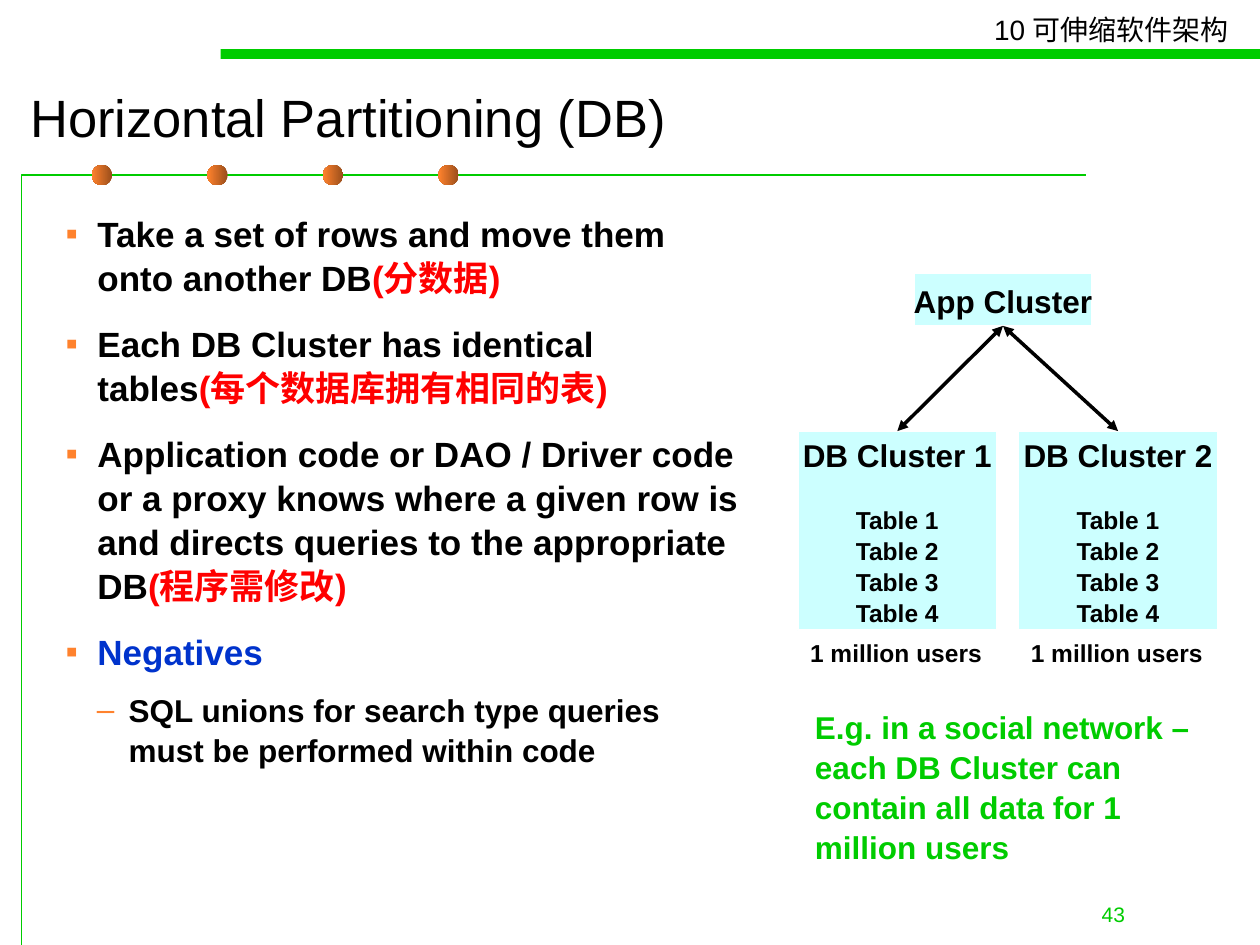
from dataclasses import dataclass

import pptx
import pptx.dml.color
import pptx.enum.shapes
import pptx.enum.text
import pptx.oxml
import pptx.oxml.ns
import pptx.util
from lxml import etree

Cm = pptx.util.Cm
Pt = pptx.util.Pt
Align = pptx.enum.text.PP_ALIGN
Anchor = pptx.enum.text.MSO_ANCHOR
Preset = pptx.enum.shapes.MSO_SHAPE


@dataclass(frozen=True)
class Theme:
    font: str = "Arial"
    text: str = "000000"
    green: str = "00CC00"
    red: str = "FF0000"
    blue: str = "0033CC"
    orange: str = "FF822D"
    brown: str = "9A4E1B"
    node: str = "CCFFFF"
    white: str = "FFFFFF"
    title_size: int = 30
    body_size: int = 20
    sub_size: int = 18
    header_size: int = 16
    label_size: int = 14
    number_size: int = 12
    line_spacing: float = 1.05


@dataclass(frozen=True)
class Box:
    """A region, in centimetres."""
    left: float
    top: float
    width: float
    height: float

    def inner(self, left, top, width, height):
        return Box(self.left + left, self.top + top, width, height)

    def lengths(self):
        return [Cm(value) for value in (self.left, self.top, self.width, self.height)]


THEME = Theme()


def rgb(color):
    return pptx.dml.color.RGBColor.from_string(color)


def add_element(parent, tag, **attributes):
    return etree.SubElement(parent, pptx.oxml.ns.qn(tag), attributes)


def add_text(frame, runs, size, color=THEME.text, bold=False, align=Align.LEFT,
             before=0, after=0, margin=0, indent=0, level=0, bullet=None):
    """Add a paragraph; runs is a string or a list of (string, colour)."""
    is_first = not frame.paragraphs[0].runs
    paragraph = frame.paragraphs[0] if is_first else frame.add_paragraph()
    paragraph.level = level
    properties = paragraph._p.get_or_add_pPr()
    properties.set("marL", str(Cm(margin)))
    properties.set("indent", str(Cm(indent)))
    if bullet:
        bullet_color = add_element(properties, "a:buClr")
        add_element(bullet_color, "a:srgbClr", val=THEME.orange)
        add_element(properties, "a:buFont", typeface=THEME.font)
        add_element(properties, "a:buChar", char=bullet)
    else:
        add_element(properties, "a:buNone")
    paragraph.alignment = align
    paragraph.line_spacing = THEME.line_spacing
    paragraph.space_before = Pt(0 if is_first else before)
    paragraph.space_after = Pt(after)
    for text, run_color in [(runs, color)] if isinstance(runs, str) else runs:
        run = paragraph.add_run()
        run.text = text
        run.font.name = THEME.font
        run.font.size = Pt(size)
        run.font.bold = bold
        run.font.color.rgb = rgb(run_color)


def set_frame(frame, wrap=True, anchor=Anchor.TOP):
    frame.auto_size = pptx.enum.text.MSO_AUTO_SIZE.NONE
    frame.word_wrap = wrap
    frame.vertical_anchor = anchor
    return frame


def add_text_box(slide, box, text, size, wrap=True, anchor=Anchor.TOP, **text_format):
    shape = slide.shapes.add_textbox(*box.lengths())
    add_text(set_frame(shape.text_frame, wrap, anchor), text, size, **text_format)


def add_plain_shape(slide, preset, box, color):
    shape = slide.shapes.add_shape(preset, *box.lengths())
    shape.shadow.inherit = False
    shape.fill.solid()
    shape.fill.fore_color.rgb = rgb(color)
    shape.line.fill.background()
    return shape


def place(placeholder, box):
    placeholder.left, placeholder.top, placeholder.width, placeholder.height = box.lengths()


def add_header(slide, box):
    add_plain_shape(slide, Preset.RECTANGLE, box.inner(0, 0.99, box.width, 0.2), THEME.green)
    add_text_box(slide, box.inner(15.34, 0.1, 5.36, 0.94), "10 可伸缩软件架构",
                 THEME.header_size, wrap=False)


def add_frame_line(slide, box):
    builder = slide.shapes.build_freeform(Cm(box.left), Cm(box.top + box.height))
    builder.add_line_segments([(Cm(box.left), Cm(box.top)),
                               (Cm(box.left + box.width), Cm(box.top))], close=False)
    outline = builder.convert_to_shape()
    outline.shadow.inherit = False
    outline.fill.background()
    outline.line.color.rgb = rgb(THEME.green)
    outline.line.width = Pt(0.75)

    diameter = 0.41
    for index in range(4):
        dot = add_plain_shape(slide, Preset.OVAL,
                              box.inner(1.42 + 2.33 * index, -diameter / 2, diameter, diameter),
                              THEME.orange)
        dot.fill.gradient()
        dot.fill.gradient_angle = 180
        for stop, color in zip(dot.fill.gradient_stops, (THEME.brown, THEME.orange)):
            stop.color.rgb = rgb(color)


def fill_title(slide, box):
    title = slide.shapes.title
    place(title, box)
    frame = set_frame(title.text_frame, anchor=Anchor.MIDDLE)
    frame.margin_left, frame.margin_right = Cm(0.15), Cm(0.36)
    add_text(frame, "Horizontal Partitioning (DB)", THEME.title_size, margin=0.1)


def fill_body(slide, box):
    body = slide.placeholders[1]
    place(body, box)
    frame = set_frame(body.text_frame)
    points = [
        [("Take a set of rows and move them onto another DB", THEME.text),
         ("(分数据)", THEME.red)],
        [("Each DB Cluster has identical tables", THEME.text),
         ("(每个数据库拥有相同的表)", THEME.red)],
        [("Application code or DAO / Driver code or a proxy knows where a given row is "
          "and directs queries to the appropriate DB", THEME.text),
         ("(程序需修改)", THEME.red)],
        [("Negatives", THEME.blue)],
    ]
    for runs in points:
        add_text(frame, runs, THEME.body_size, bold=True, before=8.8, after=3.7,
                 margin=0.64, indent=-0.64, bullet="▪")
    add_text(frame, "SQL unions for search type queries must be performed within code",
             THEME.sub_size, bold=True, before=5.6, after=3.4,
             margin=1.27, indent=-0.64, level=1, bullet="–")


def add_node(slide, box, heading, items=()):
    node = add_plain_shape(slide, Preset.RECTANGLE, box, THEME.node)
    node.line.color.rgb = rgb(THEME.white)
    node.line.width = Pt(1.25)
    frame = set_frame(node.text_frame, wrap=False, anchor=Anchor.MIDDLE)
    add_text(frame, heading, THEME.sub_size, bold=True, align=Align.CENTER)
    for index, item in enumerate(items):
        add_text(frame, item, THEME.label_size, bold=True, align=Align.CENTER,
                 before=0 if index else 16.8)
    return node


def add_double_arrow(slide, upper, lower):
    """Join the bottom of one node to the top of another."""
    arrow = slide.shapes.add_connector(pptx.enum.shapes.MSO_CONNECTOR.STRAIGHT, 0, 0, 0, 0)
    arrow.begin_connect(upper, 2)
    arrow.end_connect(lower, 0)
    arrow.line.color.rgb = rgb(THEME.text)
    arrow.line.width = Pt(2)
    line = arrow.line._get_or_add_ln()
    for end in ("a:headEnd", "a:tailEnd"):
        add_element(line, end, type="triangle")
    add_element(arrow._element.spPr, "a:effectLst")


def add_cluster_diagram(slide, box):
    side = 4.02
    application = add_node(slide, box.inner(2.34, 0, 3.6, 1.06), "App Cluster")
    tables = [f"Table {number}" for number in range(1, 5)]
    for number, left in enumerate((0, box.width - side), start=1):
        database = add_node(slide, box.inner(left, 3.18, side, side),
                            f"DB Cluster {number}", tables)
        add_text_box(slide, box.inner(left, 3.18 + side, side, 0.86), "1 million users",
                     THEME.label_size, bold=True)
        add_double_arrow(slide, application, database)
    add_text_box(slide, box.inner(-1.17, 8.61, 9.83, 3.3),
                 "E.g. in a social network – each DB Cluster can contain all data "
                 "for 1 million users", THEME.sub_size, color=THEME.green, bold=True,
                 margin=1.27, level=1)


def main():
    presentation = pptx.Presentation()
    presentation.slide_width, presentation.slide_height = Cm(25.4), Cm(19.05)
    slide = presentation.slides.add_slide(presentation.slide_layouts[1])
    add_frame_line(slide, Box(0.43, 3.53, 21.47, 15.52))
    add_header(slide, Box(4.45, 0, 20.95, 1.19))
    fill_title(slide, Box(0.36, 1.42, 23.6, 1.8))
    fill_body(slide, Box(1.07, 4.11, 14.17, 14.81))
    add_cluster_diagram(slide, Box(16.08, 5.51, 8.47, 11.91))
    add_text_box(slide, Box(22.05, 18.01, 0.79, 0.79), "43", THEME.number_size, wrap=False,
                 anchor=Anchor.BOTTOM, color=THEME.green, align=Align.CENTER)
    presentation.save("out.pptx")


if __name__ == "__main__":
    main()
